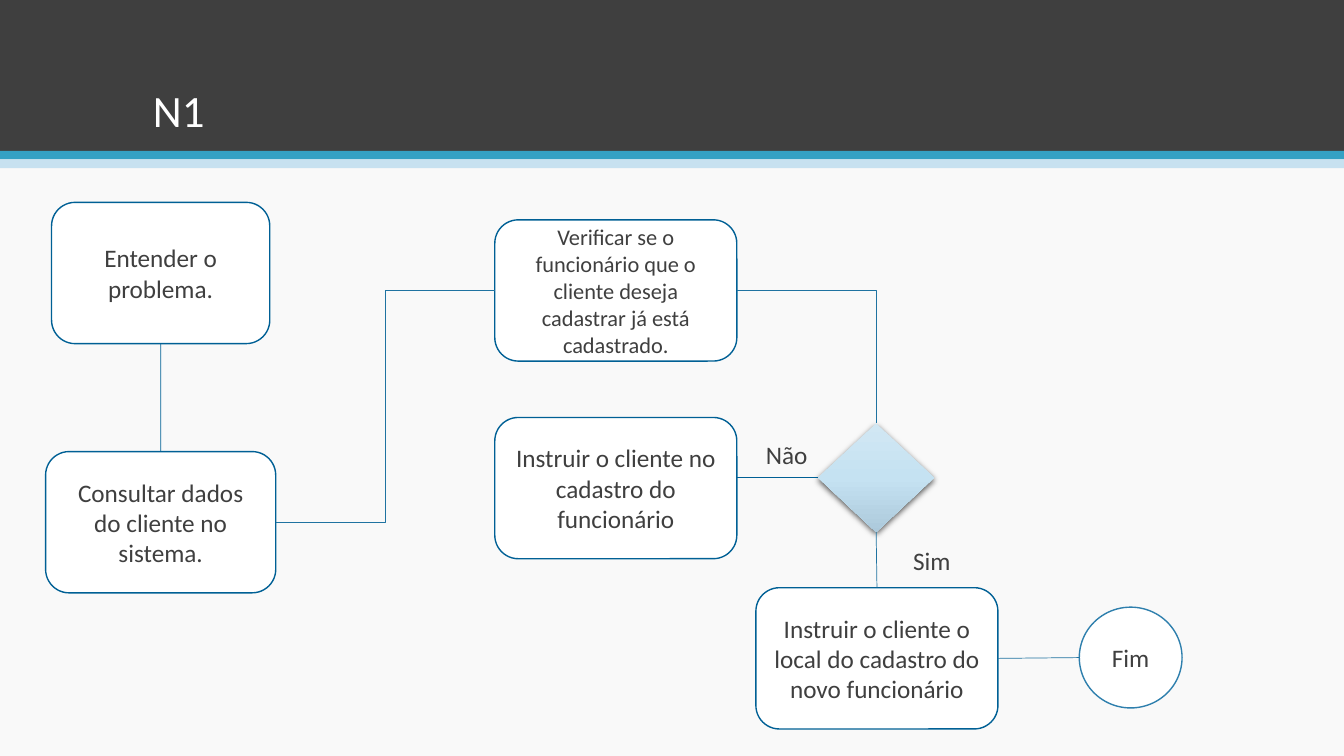
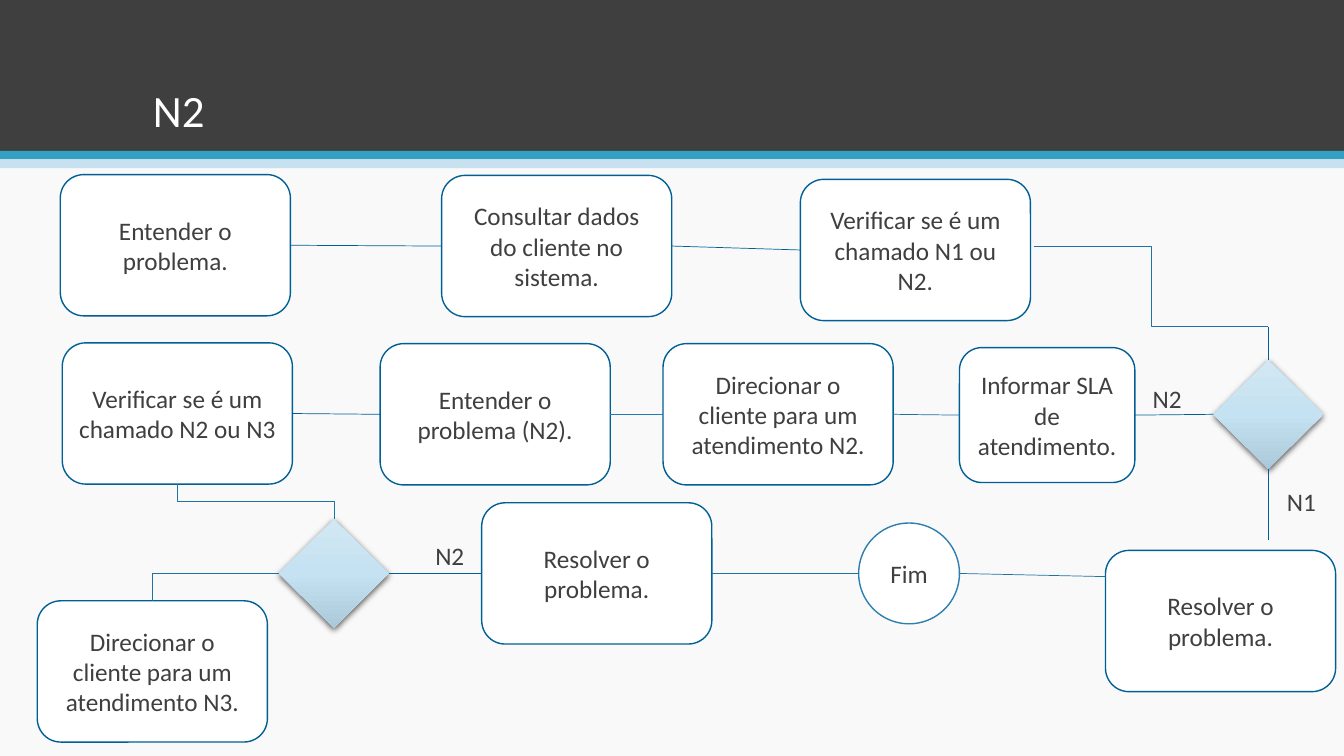
from copy import deepcopy
from dataclasses import dataclass
from enum import Enum, IntEnum

from pptx import Presentation
from pptx.dml.color import RGBColor
from pptx.enum import shapes, text
from pptx.oxml import parse_xml
from pptx.oxml.ns import nsdecls, qn
from pptx.util import Cm, Pt


@dataclass(frozen=True)
class Theme:
    font: str = "Calibri"
    title_size: float = 32
    body_size: float = 18
    small_size: float = 16
    outline_width: float = 1
    link_width: float = 0.5
    background: str = "F9F9F9"
    header: str = "3F3F3F"
    stripe: str = "34A1C4"
    pale_stripe: str = "C7E1F0"
    ink: str = "3F3F3F"
    white: str = "FFFFFF"
    step_outline: str = "006095"
    end_outline: str = "2E7FAD"
    dark_link: str = "006095"
    link: str = "1F73A1"
    bright_link: str = "227ABA"
    decision: tuple = ((0, "D1E7F3"), (0.5, "C5E2F2"), (1, "ACC9DB"))


THEME = Theme()
STEP_WIDTH, STEP_HEIGHT = 5.8, 3.56


class Kind(Enum):
    STEP = shapes.MSO_SHAPE.ROUNDED_RECTANGLE
    DECISION = shapes.MSO_SHAPE.DIAMOND
    END = shapes.MSO_SHAPE.OVAL


class Side(IntEnum):
    """Sides in the order of a rectangle's connection sites."""
    TOP = 0
    LEFT = 1
    BOTTOM = 2
    RIGHT = 3


class Route(Enum):
    STRAIGHT = "line"
    CORNER = "bentConnector2"
    ACROSS = "bentConnector3"
    DOWN = "bentConnector3 turned"


ANCHORS = {Side.TOP: (0.5, 0), Side.LEFT: (0, 0.5),
           Side.BOTTOM: (0.5, 1), Side.RIGHT: (1, 0.5)}


@dataclass(frozen=True)
class Node:
    key: str
    left: float
    top: float
    label: str = ""
    width: float = STEP_WIDTH
    height: float = STEP_HEIGHT
    kind: Kind = Kind.STEP
    size: float = THEME.body_size


@dataclass(frozen=True)
class Port:
    """A side of a node, with an optional offset in centimetres."""
    node: str
    side: Side
    dx: float = 0
    dy: float = 0


@dataclass(frozen=True)
class Link:
    start: Port
    end: Port
    color: str = THEME.link
    route: Route = Route.STRAIGHT


@dataclass(frozen=True)
class Answer:
    label: str
    left: float
    top: float
    width: float = 1.24


@dataclass(frozen=True)
class Flow:
    title: str
    nodes: tuple[Node, ...]
    answers: tuple[Answer, ...]
    links: tuple[Link, ...]


N1_FLOW = Flow(
    "N1",
    nodes=(
        Node("entender", 1.3, 5.1, "Entender o problema.", width=5.5),
        Node("consultar", 1.15, 11.38, "Consultar dados do cliente no sistema."),
        Node("verificar", 12.47, 5.54,
             "Verificar se o funcionário que o cliente deseja cadastrar já está cadastrado.",
             width=6.1, size=THEME.small_size),
        Node("cadastrado", 20.62, 10.67, width=2.92, height=2.74, kind=Kind.DECISION),
        Node("cadastro", 12.47, 10.52, "Instruir o cliente no cadastro do funcionário", width=6.1),
        Node("local", 19.05, 14.81,
             "Instruir o cliente o local do cadastro do novo funcionário", width=6.1),
        Node("fim", 27.2, 15.3, "Fim", width=2.59, height=2.54, kind=Kind.END),
    ),
    answers=(Answer("Não", 19.05, 10.95, 1.65), Answer("Sim", 22.76, 13.61, 1.55)),
    links=(
        Link(Port("entender", Side.BOTTOM), Port("consultar", Side.TOP), THEME.dark_link),
        Link(Port("consultar", Side.RIGHT), Port("verificar", Side.LEFT), route=Route.ACROSS),
        Link(Port("verificar", Side.RIGHT), Port("cadastrado", Side.TOP), route=Route.CORNER),
        Link(Port("cadastrado", Side.LEFT), Port("cadastro", Side.RIGHT, dy=-0.26),
             THEME.dark_link),
        Link(Port("cadastrado", Side.BOTTOM), Port("local", Side.TOP)),
        Link(Port("local", Side.RIGHT), Port("fim", Side.LEFT)),
    ),
)

N2_FLOW = Flow(
    "N2",
    nodes=(
        Node("entender", 1.52, 4.4, "Entender o problema."),
        Node("consultar", 11.13, 4.42, "Consultar dados do cliente no sistema."),
        Node("verificar_n1", 20.17, 4.52, "Verificar se é um chamado N1 ou N2."),
        Node("n1_ou_n2", 30.58, 9.07, width=2.77, height=2.74, kind=Kind.DECISION),
        Node("resolver_n1", 27.86, 13.87, "Resolver o problema."),
        Node("informar", 24.18, 8.76, "Informar SLA de atendimento.", width=4.42, height=3.4),
        Node("direcionar_n2", 16.71, 8.66, "Direcionar o cliente para um atendimento N2."),
        Node("entender_n2", 9.58, 8.66, "Entender o problema (N2)."),
        Node("verificar_n3", 1.57, 8.64, "Verificar se é um chamado N2 ou N3"),
        Node("n2_ou_n3", 7.03, 13.08, width=2.77, height=2.74, kind=Kind.DECISION),
        Node("resolver_n2", 12.14, 12.67, "Resolver o problema."),
        Node("direcionar_n3", 0.94, 15.14, "Direcionar o cliente para um atendimento N3."),
        Node("fim", 21.64, 13.18, "Fim", width=2.54, height=2.54, kind=Kind.END),
    ),
    answers=(Answer("N1", 32.18, 12.14), Answer("N2", 28.8, 9.53), Answer("N2", 10.72, 13.49)),
    links=(
        Link(Port("entender", Side.RIGHT), Port("consultar", Side.LEFT), THEME.dark_link),
        Link(Port("consultar", Side.RIGHT), Port("verificar_n1", Side.LEFT), THEME.dark_link),
        Link(Port("verificar_n1", Side.RIGHT, 0.09, -0.08), Port("n1_ou_n2", Side.TOP, dy=-0.84),
             route=Route.ACROSS),
        Link(Port("n1_ou_n2", Side.TOP, dy=-0.84), Port("n1_ou_n2", Side.TOP), THEME.dark_link),
        Link(Port("n1_ou_n2", Side.BOTTOM), Port("n1_ou_n2", Side.BOTTOM, dy=1.8),
             THEME.dark_link),
        Link(Port("n1_ou_n2", Side.LEFT), Port("informar", Side.RIGHT), THEME.dark_link),
        Link(Port("informar", Side.LEFT), Port("direcionar_n2", Side.RIGHT)),
        Link(Port("entender_n2", Side.RIGHT), Port("direcionar_n2", Side.LEFT),
             THEME.bright_link),
        Link(Port("verificar_n3", Side.RIGHT), Port("entender_n2", Side.LEFT), THEME.dark_link),
        Link(Port("verificar_n3", Side.BOTTOM), Port("n2_ou_n3", Side.TOP), route=Route.DOWN),
        Link(Port("n2_ou_n3", Side.LEFT), Port("direcionar_n3", Side.TOP), route=Route.CORNER),
        Link(Port("n2_ou_n3", Side.RIGHT), Port("resolver_n2", Side.LEFT), THEME.dark_link),
        Link(Port("resolver_n2", Side.RIGHT), Port("fim", Side.LEFT)),
        Link(Port("resolver_n1", Side.LEFT, dy=-1.12), Port("fim", Side.RIGHT)),
    ),
)


def rgb(color: str) -> RGBColor:
    return RGBColor.from_string(color)


def style_text(paragraph, size: float, color: str, align) -> None:
    paragraph.alignment = align
    font = paragraph.font
    font.name, font.size, font.color.rgb = THEME.font, Pt(size), rgb(color)


def share_bands(prs, slide, layout) -> None:
    """Set the background and move the header bands into the layout."""
    fill = prs.slide_master.background.fill
    fill.solid()
    fill.fore_color.rgb = rgb(THEME.background)
    for top, height, color in ((0, 3.81, THEME.header), (3.8, 0.22, THEME.stripe),
                               (4.02, 0.22, THEME.pale_stripe)):
        band = slide.shapes.add_shape(shapes.MSO_SHAPE.RECTANGLE, 0, Cm(top),
                                      prs.slide_width, Cm(height))
        band.shadow.inherit = False
        band.fill.solid()
        band.fill.fore_color.rgb = rgb(color)
        band.line.fill.background()
        layout.placeholders[0].element.addprevious(band.element)


def set_title(slide, wording: str) -> None:
    title = slide.shapes.title
    title.left, title.top, title.width, title.height = Cm(3.6), Cm(0.72), Cm(26.67), Cm(2.87)
    frame = title.text_frame
    frame.text = wording
    frame.auto_size = text.MSO_AUTO_SIZE.NONE
    frame.vertical_anchor = text.MSO_ANCHOR.BOTTOM
    frame.paragraphs[0].line_spacing = 0.9
    style_text(frame.paragraphs[0], THEME.title_size, THEME.white, text.PP_ALIGN.LEFT)


def shade_decision(shape) -> None:
    """Give a decision its three-stop gradient and soft shadow."""
    shape.line.fill.background()
    shape.fill.gradient()
    stop_list = shape.element.spPr.find(".//" + qn("a:gsLst"))
    stop_list.insert(1, deepcopy(stop_list[0]))
    for stop, (position, color) in zip(shape.fill.gradient_stops, THEME.decision):
        stop.position, stop.color.rgb = position, rgb(color)
    shape.fill.gradient_angle = 270
    shape.element.spPr.find(qn("a:effectLst")).append(parse_xml(
        f'<a:outerShdw {nsdecls("a")} blurRad="{Pt(4.5)}" dist="{Pt(1.5)}" dir="5400000" '
        'algn="ctr" rotWithShape="0"><a:srgbClr val="000000"><a:alpha val="63000"/>'
        '</a:srgbClr></a:outerShdw>'))


def draw_node(slide, node: Node):
    shape = slide.shapes.add_shape(node.kind.value, Cm(node.left), Cm(node.top),
                                   Cm(node.width), Cm(node.height))
    shape.shadow.inherit = False
    if node.kind is Kind.DECISION:
        shade_decision(shape)
        return shape
    shape.fill.solid()
    shape.fill.fore_color.rgb = rgb(THEME.white)
    outline = THEME.end_outline if node.kind is Kind.END else THEME.step_outline
    shape.line.color.rgb, shape.line.width = rgb(outline), Pt(THEME.outline_width)
    frame = shape.text_frame
    frame.text, frame.word_wrap = node.label, True
    frame.vertical_anchor = text.MSO_ANCHOR.MIDDLE
    style_text(frame.paragraphs[0], node.size, THEME.ink, text.PP_ALIGN.CENTER)
    return shape


def draw_answer(slide, answer: Answer) -> None:
    box = slide.shapes.add_textbox(Cm(answer.left), Cm(answer.top), Cm(answer.width), Cm(1.02))
    frame = box.text_frame
    frame.text, frame.word_wrap = answer.label, False
    style_text(frame.paragraphs[0], THEME.body_size, THEME.ink, text.PP_ALIGN.LEFT)


def locate(port: Port, shape) -> tuple[int, int]:
    across, down = ANCHORS[port.side]
    return (int(shape.left + across * shape.width + Cm(port.dx)),
            int(shape.top + down * shape.height + Cm(port.dy)))


def turn(x1: int, y1: int, x2: int, y2: int) -> tuple[int, ...]:
    """Ends of an elbow that, turned by 270 degrees, leaves downwards."""
    mid_x, mid_y = (x1 + x2) // 2, (y1 + y2) // 2
    half_x, half_y = (x2 - x1) // 2, (y2 - y1) // 2
    return mid_x + half_y, mid_y - half_x, mid_x - half_y, mid_y + half_x


def draw_link(slide, link: Link, drawn: dict) -> None:
    start, end = drawn[link.start.node], drawn[link.end.node]
    ends = (*locate(link.start, start), *locate(link.end, end))
    if link.route is Route.DOWN:
        ends = turn(*ends)
    straight = link.route is Route.STRAIGHT
    kind = shapes.MSO_CONNECTOR.STRAIGHT if straight else shapes.MSO_CONNECTOR.ELBOW
    line = slide.shapes.add_connector(kind, *ends)
    line.line.color.rgb, line.line.width = rgb(link.color), Pt(THEME.link_width)
    properties = line.element.spPr
    properties.append(parse_xml(f'<a:effectLst {nsdecls("a")}/>'))
    if link.route is Route.CORNER:
        properties.find(qn("a:prstGeom")).set("prst", link.route.value)
    elif link.route is Route.DOWN:
        properties.find(qn("a:xfrm")).set("rot", str(270 * 60000))
    if straight:
        for port, shape, glue in ((link.start, start, line.begin_connect),
                                  (link.end, end, line.end_connect)):
            on_site = not (port.dx or port.dy)
            if on_site and shape.auto_shape_type != Kind.END.value:
                glue(shape, int(port.side))


def draw_flow(slide, flow: Flow) -> None:
    set_title(slide, flow.title)
    drawn = {node.key: draw_node(slide, node) for node in flow.nodes}
    for answer in flow.answers:
        draw_answer(slide, answer)
    for link in flow.links:
        draw_link(slide, link, drawn)


def main() -> None:
    prs = Presentation()
    prs.slide_width, prs.slide_height = Cm(33.87), Cm(19.05)
    layout = prs.slide_layouts.get_by_name("Title Only")
    slides = [prs.slides.add_slide(layout) for _ in range(2)]
    share_bands(prs, slides[0], layout)
    for slide, flow in zip(slides, (N1_FLOW, N2_FLOW)):
        draw_flow(slide, flow)
    prs.save("out.pptx")


if __name__ == "__main__":
    main()
